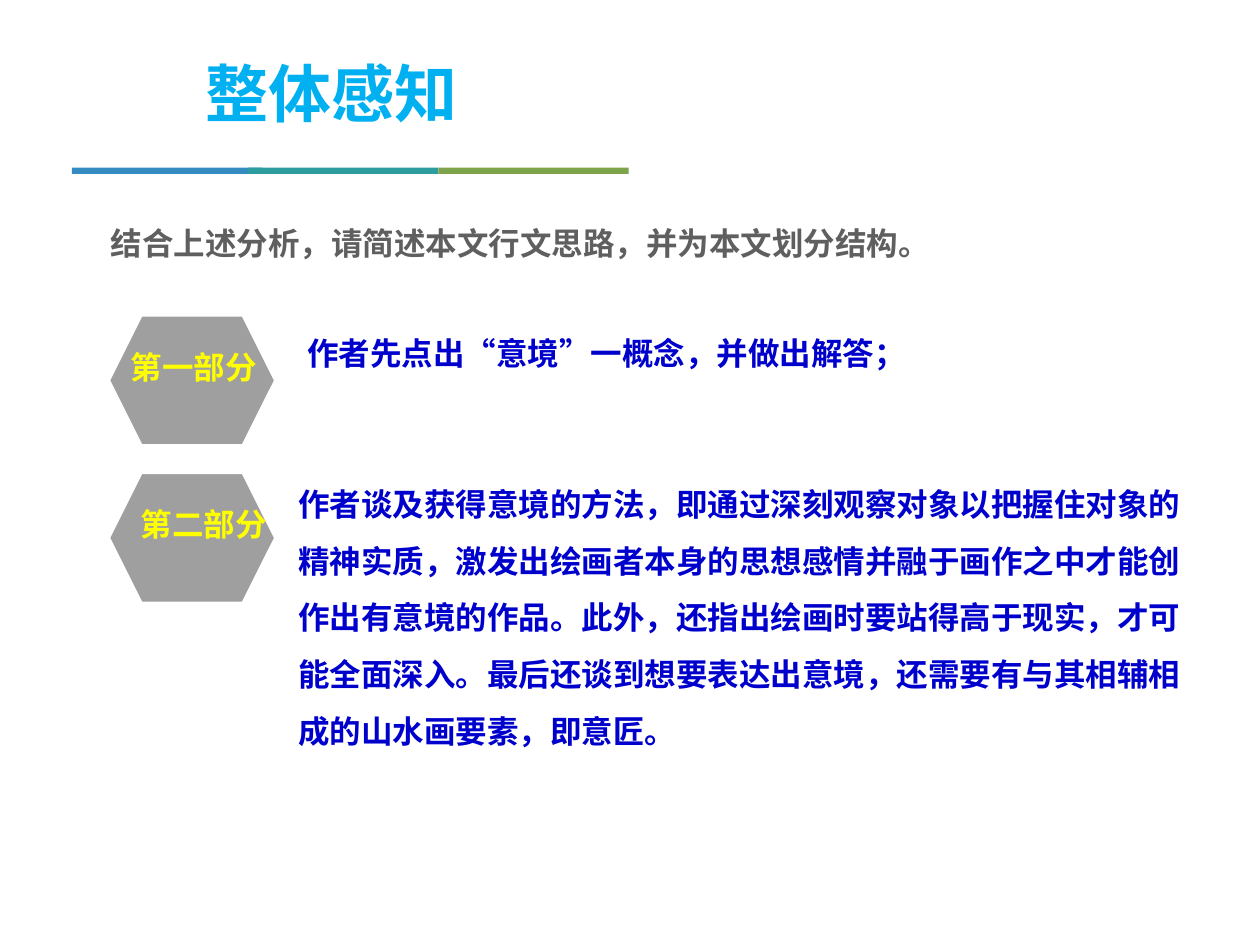
from lxml import etree
from pptx import Presentation
from pptx.dml.color import RGBColor
from pptx.enum.shapes import MSO_SHAPE
from pptx.enum.text import MSO_ANCHOR, MSO_AUTO_SIZE
from pptx.oxml.ns import qn
from pptx.util import Inches, Pt

FONT = "Noto Sans CJK SC"
RECTANGLE, HEXAGON = MSO_SHAPE.RECTANGLE, MSO_SHAPE.HEXAGON
MIDDLE, GROW = MSO_ANCHOR.MIDDLE, MSO_AUTO_SIZE.SHAPE_TO_FIT_TEXT
BLUE, YELLOW, GRAY = "0000CC", "FFFF00", "5F5F5F"

deck = Presentation()
deck.slide_width, deck.slide_height = Inches(10), Inches(7.5)
page = deck.slides.add_slide(deck.slide_layouts[6])


def add_text(text, place, color, size=18, spacing=None, **frame_format):
    box = page.shapes.add_textbox(*map(Inches, place))
    frame = box.text_frame
    for name, value in {"word_wrap": True, "auto_size": GROW, **frame_format}.items():
        setattr(frame, name, value)
    para = frame.paragraphs[0]
    para.line_spacing = spacing
    span = para.add_run()
    span.text = text
    for name, value in {"name": FONT, "size": Pt(size), "bold": True}.items():
        setattr(span.font, name, value)
    span.font.color.rgb = RGBColor.from_string(color)
    # Chinese characters take the East Asian typeface
    etree.SubElement(span.font._element, qn("a:ea"), typeface=FONT)


def add_block(kind, place, fill):
    block = page.shapes.add_shape(kind, *map(Inches, place))
    block.shadow.inherit = False
    block.fill.solid()
    block.fill.fore_color.rgb = RGBColor.from_string(fill)
    block.line.fill.background()
    return block


# Title with a three-colour rule below
add_text("整体感知", (1.53, 0.38, 2.62, 0.71), "00B0F0", size=36)
for left, color in ((0.57, "358CC1"), (1.97, "2D9C9F"), (3.48, "7DA44B")):
    add_block(RECTANGLE, (left, 1.33, 1.51, 0.05), color)

# Question
add_text("结合上述分析，请简述本文行文思路，并为本文划分结构。",
         (0.78, 1.73, 6.97, 0.4), GRAY, vertical_anchor=MIDDLE)

# Hexagon markers with their labels
for top, label_left, label in ((2.5, 0.94, "第一部分"), (3.75, 1.02, "第二部分")):
    hexagon = add_block(HEXAGON, (0.86, top, 1.33, 1.04), "9F9F9F")
    hexagon.line.color.rgb = RGBColor.from_string("FFFFFF")
    hexagon.line.width = Pt(2)
    add_text(label, (label_left, top + 0.21, 1.21, 0.4), YELLOW, word_wrap=False)

# Answers
add_text("作者先点出“意境”一概念，并做出解答；", (2.34, 2.6, 5, 0.4), BLUE,
         word_wrap=False)
add_text("作者谈及获得意境的方法，即通过深刻观察对象以把握住对象的精神实质，"
         "激发出绘画者本身的思想感情并融于画作之中才能创作出有意境的作品。"
         "此外，还指出绘画时要站得高于现实，才可能全面深入。"
         "最后还谈到想要表达出意境，还需要有与其相辅相成的山水画要素，即意匠。",
         (2.27, 3.65, 7.34, 2.37), BLUE, spacing=1.5)

deck.save("out.pptx")
